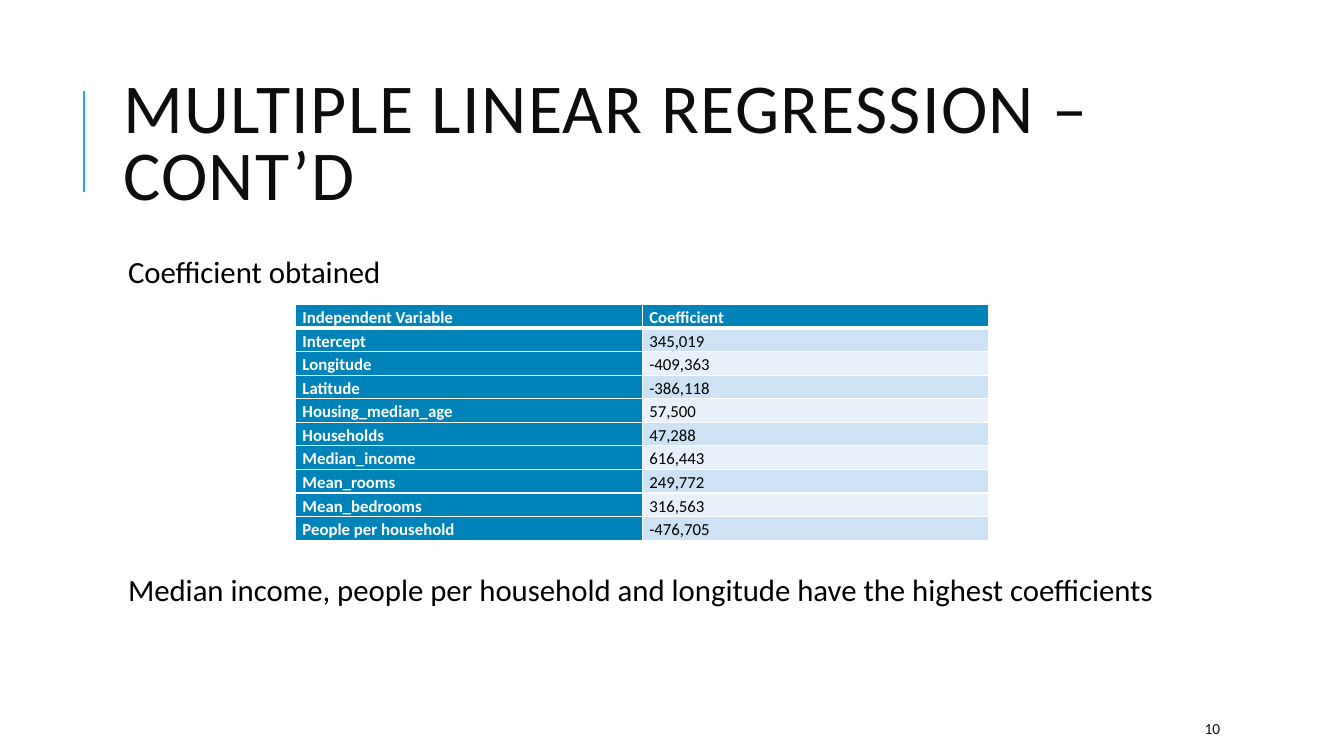
"""Build the slide of regression coefficients with its title, table and remarks."""
from dataclasses import dataclass

from lxml import etree
from pptx import Presentation
from pptx import util as u
from pptx.dml.color import RGBColor
from pptx.enum import shapes, text
from pptx.oxml import ns

PX = 9144
FONT = "Calibri"
COLOURS = {
    "accent": "1CADE4",
    "title": "0D0D0D",
    "body": "000000",
    "white": "FFFFFF",
    "header": "0083B9",
    "odd": "CDE3F5",
    "even": "E8F1FA",
}


@dataclass(frozen=True)
class Label:
    words: str
    left: int
    top: int
    width: int
    height: int
    size: int
    colour: str = "body"
    inset: int = 10
    anchor: text.MSO_ANCHOR = text.MSO_ANCHOR.MIDDLE
    line_spacing: float = 1.0


@dataclass(frozen=True)
class Coefficient:
    variable: str
    value: str


TITLE = Label("MULTIPLE LINEAR REGRESSION – CONT’D", 112, 64, 1063, 164, 50,
              colour="title", line_spacing=0.8)
REMARKS = [
    Label(words, 112, top, 1063, 45, 22, inset=15,
          anchor=text.MSO_ANCHOR.TOP, line_spacing=0.9)
    for words, top in (
        ("Coefficient obtained", 250),
        ("Median income, people per household and longitude have the highest coefficients", 565),
    )
]
PAGE_NUMBER = Label("10", 1185, 708, 106, 30, 11, colour="title")

ROWS = [
    Coefficient("Independent Variable", "Coefficient"),
    Coefficient("Intercept", "345,019"),
    Coefficient("Longitude", "-409,363"),
    Coefficient("Latitude", "-386,118"),
    Coefficient("Housing_median_age", "57,500"),
    Coefficient("Households", "47,288"),
    Coefficient("Median_income", "616,443"),
    Coefficient("Mean_rooms", "249,772"),
    Coefficient("Mean_bedrooms", "316,563"),
    Coefficient("People per household", "-476,705"),
]
TABLE_LEFT, TABLE_TOP, COLUMN_WIDTH, ROW_HEIGHT = 293, 302, 344, 23


def px(length: int) -> u.Emu:
    return u.Emu(length * PX)


def rgb(name: str) -> RGBColor:
    return RGBColor.from_string(COLOURS[name])


def write(frame, words: str, *, size: int, colour: str, bold: bool = False,
          line_spacing: float = 1.0, align=text.PP_ALIGN.LEFT, tracking: int = 0) -> None:
    paragraph = frame.paragraphs[0]
    paragraph.alignment = align
    paragraph.line_spacing = line_spacing
    paragraph.space_before = u.Pt(0)
    run = paragraph.add_run()
    run.text = words
    run.font.name = FONT
    run.font.size = u.Pt(size)
    run.font.bold = bold
    run.font.color.rgb = rgb(colour)
    if tracking:
        run.font._element.set("spc", str(tracking))


def fill_label(shape, label: Label, tracking: int = 0) -> None:
    shape.left, shape.top = px(label.left), px(label.top)
    shape.width, shape.height = px(label.width), px(label.height)
    frame = shape.text_frame
    frame.word_wrap = True
    frame.auto_size = text.MSO_AUTO_SIZE.NONE
    frame.vertical_anchor = label.anchor
    frame.margin_left = frame.margin_right = px(label.inset)
    frame.margin_top = frame.margin_bottom = px(5)
    write(frame, label.words, size=label.size, colour=label.colour,
          line_spacing=label.line_spacing, tracking=tracking)


def add_label(slide, label: Label) -> None:
    box = slide.shapes.add_textbox(0, 0, px(label.width), px(label.height))
    fill_label(box, label)


def add_accent_line(slide) -> None:
    line = slide.shapes.add_connector(
        shapes.MSO_CONNECTOR.STRAIGHT, px(83), px(190), px(83), px(90))
    line.line.color.rgb = rgb("accent")
    line.line.width = u.Pt(1.5)
    etree.SubElement(line._element.spPr, ns.qn("a:effectLst"))


def set_borders(cell, widths: dict[str, int]) -> None:
    properties = cell._tc.get_or_add_tcPr()
    for position, (side, points) in enumerate(widths.items()):
        border = etree.Element(ns.qn(f"a:ln{side}"), w=str(u.Pt(points)))
        fill = etree.SubElement(border, ns.qn("a:solidFill"))
        etree.SubElement(fill, ns.qn("a:srgbClr"), val=COLOURS["white"])
        properties.insert(position, border)


def add_coefficients(slide) -> None:
    table = slide.shapes.add_table(
        len(ROWS), 2, px(TABLE_LEFT), px(TABLE_TOP),
        px(2 * COLUMN_WIDTH), px(len(ROWS) * ROW_HEIGHT)).table
    table.first_col = True
    for row, coefficient in enumerate(ROWS):
        table.rows[row].height = px(ROW_HEIGHT)
        for column, words in enumerate((coefficient.variable, coefficient.value)):
            cell = table.cell(row, column)
            heading = row == 0 or column == 0
            band = "odd" if row % 2 else "even"
            cell.fill.solid()
            cell.fill.fore_color.rgb = rgb("header" if heading else band)
            cell.margin_left = cell.margin_right = px(7)
            cell.margin_top = cell.margin_bottom = 0
            write(cell.text_frame, words, size=12, bold=heading,
                  colour="white" if heading else "body",
                  line_spacing=1.15, align=text.PP_ALIGN.JUSTIFY)
            set_borders(cell, {"L": 1, "R": 1, "T": 3 if row == 1 else 1,
                               "B": 3 if row == 0 else 1})


def main() -> None:
    presentation = Presentation()
    presentation.slide_width, presentation.slide_height = px(1333), px(750)
    slide = presentation.slides.add_slide(presentation.slide_layouts[5])
    add_accent_line(slide)
    fill_label(slide.shapes.title, TITLE, tracking=100)
    for remark in REMARKS:
        add_label(slide, remark)
    add_coefficients(slide)
    add_label(slide, PAGE_NUMBER)
    presentation.save("out.pptx")


if __name__ == "__main__":
    main()
